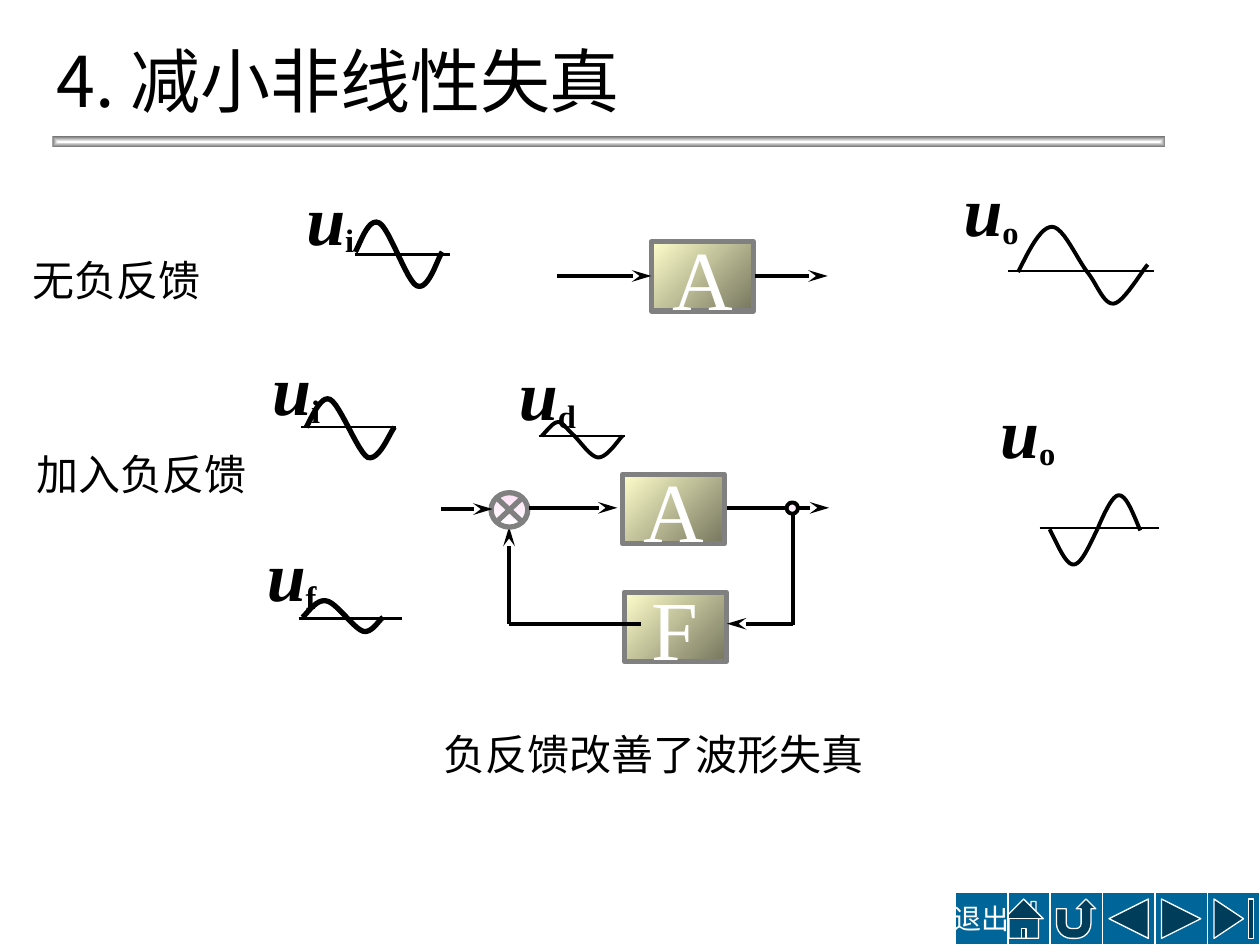
from lxml.etree import SubElement
from pptx import Presentation
from pptx.dml.color import RGBColor
from pptx.enum.shapes import MSO_CONNECTOR as Link, MSO_SHAPE as Preset
from pptx.enum.text import MSO_ANCHOR as Anchor, MSO_AUTO_SIZE as Fit, PP_ALIGN as Align
from pptx.oxml.ns import qn
from pptx.util import Pt

BLACK, WHITE, GREY, BLUE = "000000", "FFFFFF", "808080", "006699"
SERIF, HAN = "Times New Roman", "Noto Sans CJK SC"
BLOCK_FILL = ("FFFFCC", "76765E", 45)
NODE_FILL = ("FDDFF4", "FFFFFF", 90)
LABEL_SLACK = 2


def colour(value):
    return RGBColor.from_string(value)


def bezier(points, steps=12):
    curve = [points[0]]
    for first in range(0, len(points) - 1, 3):
        a, b, c, d = points[first:first + 4]
        for step in range(1, steps + 1):
            t = step / steps
            s = 1 - t
            curve.append(tuple(
                s**3 * a[k] + 3 * s * s * t * b[k] + 3 * s * t * t * c[k] + t**3 * d[k]
                for k in (0, 1)))
    return [(Pt(x), Pt(y)) for x, y in curve]


class Painter:
    def __init__(self, page):
        self.page = page

    def style(self, span, size, tint, font=SERIF):
        span.font.size = Pt(size)
        span.font.name = font
        span.font.color.rgb = colour(tint)
        SubElement(span._r.get_or_add_rPr(), qn("a:ea")).set("typeface", HAN)

    def text(self, words, place, size=24, font=SERIF, align=Align.CENTER,
             anchor=Anchor.TOP, wrap=False, spacing=None):
        box = self.page.shapes.add_textbox(*map(Pt, place))
        frame = box.text_frame
        frame.word_wrap = wrap
        frame.auto_size = Fit.SHAPE_TO_FIT_TEXT
        frame.vertical_anchor = anchor
        frame.text = words
        para = frame.paragraphs[0]
        para.alignment = align
        if spacing:
            para.line_spacing = spacing
        self.style(para.runs[0], size, BLACK, font)
        return para

    def label(self, mark, left, top, width):
        place = (left - LABEL_SLACK, top, width + 2 * LABEL_SLACK, 55.4)
        para = self.text("u", place, 40, anchor=Anchor.MIDDLE)
        para.runs[0].font.bold = para.runs[0].font.italic = True
        span = para.add_run()
        span.text = mark
        self.style(span, 32, BLACK)
        span.font.bold = True
        span._r.get_or_add_rPr().set("baseline", "-14000")

    def shape(self, kind, place, fill, line=None, width=1, words="", size=48):
        shape = self.page.shapes.add_shape(kind, *map(Pt, place))
        shape.shadow.inherit = False
        if isinstance(fill, tuple):
            *tints, angle = fill
            shape.fill.gradient()
            shape.fill.gradient_angle = (360 - angle) % 360
            for stop, tint in zip(shape.fill.gradient_stops, tints):
                stop.color.rgb = colour(tint)
        else:
            shape.fill.solid()
            shape.fill.fore_color.rgb = colour(fill)
        if line:
            shape.line.color.rgb = colour(line)
            shape.line.width = Pt(width)
        else:
            shape.line.fill.background()
        if words:
            frame = shape.text_frame
            frame.word_wrap = False
            frame.vertical_anchor = Anchor.MIDDLE
            frame.text = words
            frame.paragraphs[0].alignment = Align.CENTER
            self.style(frame.paragraphs[0].runs[0], size, WHITE)
        return shape

    def block(self, name, left, top):
        self.shape(Preset.RECTANGLE, (left, top, 58.3, 39.6), BLOCK_FILL, GREY, 3, name)

    def line(self, x1, y1, x2, y2, width=2.25, arrow=False):
        link = self.page.shapes.add_connector(Link.STRAIGHT, *map(Pt, (x1, y1, x2, y2)))
        link.line.color.rgb = colour(BLACK)
        link.line.width = Pt(width)
        SubElement(link._element.spPr, qn("a:effectLst"))
        if arrow:
            head = SubElement(link.line._get_or_add_ln(), qn("a:tailEnd"))
            head.set("type", "stealth")
            head.set("len", "lg")

    def wave(self, points, width):
        start, *rest = bezier(points)
        builder = self.page.shapes.build_freeform(*start, scale=1.0)
        builder.add_line_segments(rest, close=False)
        curve = builder.convert_to_shape()
        curve.shadow.inherit = False
        curve.fill.background()
        curve.line.color.rgb = colour(BLACK)
        curve.line.width = Pt(width)

    def signal(self, mark, place, axis, axis_width, wave_width, *waves):
        left, right, level = axis
        self.line(left, level, right, level, axis_width)
        for points in waves:
            self.wave(points, wave_width)
        self.label(mark, *place)

    def rule(self, place):
        bar = self.shape(Preset.RECTANGLE, place, (WHITE, "767676", 0))
        gradient = bar._element.spPr.find(qn("a:gradFill"))
        gradient.remove(gradient.find(qn("a:lin")))
        focus = SubElement(gradient, qn("a:path"))
        focus.set("path", "rect")
        centre = SubElement(focus, qn("a:fillToRect"))
        for side in "ltrb":
            centre.set(side, "50000")


SIGNALS = [
    ("f", (145.4, 300.2, 42.5), (170.6, 229.7, 353.5), 1.5, 3,
     [(172.8, 352.8), (175, 351.4), (180.7, 342), (186.5, 343.4), (192.2, 344.2),
      (201.6, 358.6), (207.4, 360.7), (212.4, 362.2), (216.7, 354.2), (218.9, 352.8)]),
    ("i", (148.3, 193.7, 41.8), (172.1, 226.1, 244.1), 1.5, 3,
     [(175, 244.1), (177.1, 241.2), (182.9, 225.4), (188.6, 228.2), (194.4, 231.1),
      (204.5, 258.5), (210.2, 261.4), (216.7, 263.5), (222.5, 247.7), (225.4, 244.1)]),
    ("i", (167.8, 96.5, 41.8), (203, 257, 145.4), 1.5, 3,
     [(203, 144), (205.2, 141.1), (210.2, 123.8), (216.7, 127.4), (222.5, 130.3),
      (232.6, 161.3), (238.3, 163.4), (244.8, 166.3), (249.8, 148.3), (252.7, 144)]),
    ("o", (564.5, 218.2, 45.4), (594, 662.4, 301.7), 1, 2.25,
     [(599.8, 302.4), (604.8, 312.5), (609.1, 322.6), (613.4, 322.6),
      (617.8, 322.6), (622.1, 312.5), (627.1, 302.4)],
     [(651.6, 303.1), (647.3, 293), (643.7, 283), (639.4, 283),
      (635.8, 283), (631.4, 292.3), (627.1, 302.4)]),
    ("o", (543.6, 91.4, 45.4), (576, 659.5, 154.8), 1, 2.25,
     [(581.8, 155.5), (588.2, 142.6), (594.7, 129.6), (601.2, 129.6), (607.7, 129.6),
      (615.6, 148.3), (621.4, 155.5), (627.1, 162.7), (630.7, 174.2), (636.5, 173.5),
      (642.2, 172.8), (653, 154.1), (655.9, 151.2)]),
    ("d", (289.4, 196.6, 46.8), (308.2, 357.1, 249.1), 1.5, 2.25,
     [(309.6, 249.1), (313.2, 245.5), (316.1, 241.2), (319, 241.2), (321.8, 241.2),
      (324.7, 246.2), (328.3, 249.1), (331.9, 252.7), (337.7, 261.4), (342, 261.4),
      (347, 261.4), (353.5, 251.3), (355.7, 249.1)]),
]

BUTTONS = [
    (Preset.ACTION_BUTTON_FORWARD_OR_NEXT, 660, ""),
    (Preset.ACTION_BUTTON_END, 690, ""),
    (Preset.ACTION_BUTTON_RETURN, 600, ""),
    (Preset.ACTION_BUTTON_HOME, 570, ""),
    (Preset.ACTION_BUTTON_CUSTOM, 546, "退出"),
    (Preset.ACTION_BUTTON_BACK_OR_PREVIOUS, 630, ""),
]


def main():
    deck = Presentation()
    deck.slide_width, deck.slide_height = Pt(720), Pt(540)
    painter = Painter(deck.slides.add_slide(deck.slide_layouts[6]))

    painter.rule((30, 78, 636, 6))
    for kind, left, words in BUTTONS:
        painter.shape(kind, (left, 510, 30, 30), BLUE, WHITE, 0.75, words, 16)

    for signal in SIGNALS:
        painter.signal(*signal)

    painter.block("A", 372.2, 138.2)
    painter.line(318.2, 157.7, 372.2, 157.7, arrow=True)
    painter.line(431.3, 157.7, 473, 157.7, arrow=True)

    painter.block("F", 356.7, 338.4)
    painter.line(366.5, 356.4, 290.9, 356.4)
    painter.line(290.9, 356.4, 290.9, 301, arrow=True)
    painter.line(452.9, 290.2, 452.9, 357.1)
    painter.line(452.9, 356.4, 415.4, 356.4, arrow=True)
    painter.shape(Preset.FLOWCHART_SUMMING_JUNCTION, (280.6, 281.5, 21, 19.7),
                  NODE_FILL, GREY, 3)
    painter.line(252, 290.9, 281.5, 290.9, arrow=True)
    painter.line(302.4, 290.2, 352.8, 290.2, arrow=True)
    painter.line(415.4, 290.2, 473.8, 290.2, arrow=True)
    painter.block("A", 355.7, 271.1)
    painter.shape(Preset.OVAL, (449.5, 287.1, 6.5, 6.5), NODE_FILL, BLACK, 2.25)

    painter.text("负反馈改善了波形失真", (224.6, 418.3, 297.4, 30.2),
                 anchor=Anchor.MIDDLE, wrap=True, spacing=0.8)
    painter.text("加入负反馈", (5.8, 260.6, 149.8, 27.4), wrap=True, spacing=0.7)
    painter.text("无负反馈", (11.5, 141.8, 110.2, 36))
    painter.text("4. 减小非线性失真", (25.2, 18, 375.8, 55.4), 40, HAN, Align.LEFT)

    deck.save("out.pptx")


if __name__ == "__main__":
    main()
